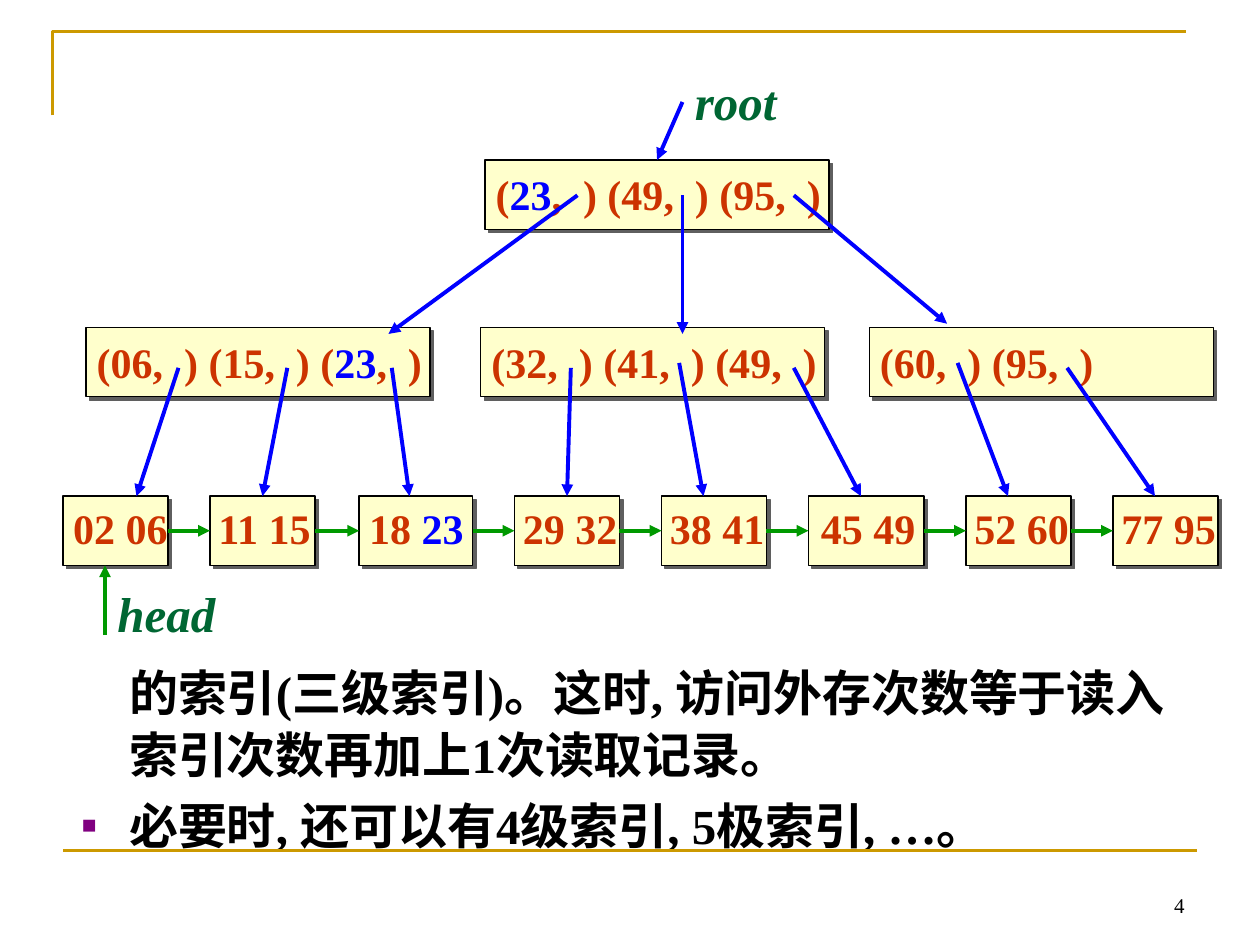
from itertools import pairwise
from lxml import etree
from pptx import Presentation
from pptx.dml.color import RGBColor
from pptx.enum.shapes import MSO_CONNECTOR, MSO_SHAPE
from pptx.enum.text import MSO_ANCHOR, MSO_AUTO_SIZE, PP_ALIGN
from pptx.oxml.ns import qn
from pptx.util import Pt

STRAIGHT = MSO_CONNECTOR.STRAIGHT
RECT = MSO_SHAPE.RECTANGLE
TOP, BOTTOM = MSO_ANCHOR.TOP, MSO_ANCHOR.BOTTOM
LEFT, RIGHT = PP_ALIGN.LEFT, PP_ALIGN.RIGHT
NO_FIT = MSO_AUTO_SIZE.NONE
SIDE_TOP, SIDE_LEFT, SIDE_RIGHT = 0, 1, 3

THEME = {
    "font": "Times New Roman",
    "key": "CC3300", "accent": "0000FF", "label": "006633", "text": "000000",
    "node": "FFFFCC", "shadow": "5F5F5F", "rule": "CC9900",
    "link": "0000FF", "chain": "009900", "bullet": "800080",
    "key_size": 24, "body_size": 28, "label_size": 28, "number_size": 12,
    "edge_width": 0.75, "rule_width": 1.5, "arrow_width": 2.25,
}

NODE_SIZE = (196.6, 39.6)
LEAF_TOP = 283.5
LEAF_HEIGHT = 39.6
NODES = [
    ("(|23|,  ) (49,  ) (95,  )", 277.2, 91.4),
    ("(06,  ) (15,  ) (|23|,  )", 49.2, 187.2),
    ("(32,  ) (41,  ) (49,  )", 274.8, 187.2),
    ("(60,  ) (95,  )", 496.8, 187.2),
]
LEAVES = [
    ("02 06", 36, 60, 5.8), ("11 15", 120, 60, 4.8), ("18 |23", 205.2, 64.8, 5.8),
    ("29 32", 294, 60, 4.8), ("38 41", 378, 60, 4.8), ("45 49", 462, 66, 7.2),
    ("52 60", 552, 60, 4.8), ("77 95", 636, 60, 4.8),
]
ROOT_LINKS = [
    ((330, 111.6), (222, 190.8)),
    ((390, 111.6), (390, 190.8)),
    ((453.6, 111.6), (541.2, 185)),
]
LEAF_LINKS = [
    ((102, 210.2), 78), ((164.2, 210.2), 150), ((223.9, 210.2), 234),
    ((326.2, 210.2), 324), ((388.1, 207.4), 402), ((453.6, 210.2), 492),
    ((547.2, 207.4), 576), ((609.8, 210.2), 660),
]
LABELS = [("root", 390, 37.4, 61.2), ("head", 60, 329.8, 70.6)]
BODY = [
    ("的索引(三级索引)。这时, 访问外存次数等于读入索引次数再加上1次读取记录。", 1.05, 0, False),
    ("必要时, 还可以有4级索引, 5极索引, …。", 1.1, 4, True),
]


def rgb(name):
    return RGBColor.from_string(THEME[name])


def add_effects(s, shadow=False):
    effects = etree.SubElement(s._element.spPr, qn("a:effectLst"))
    if shadow:
        shade = etree.SubElement(effects, qn("a:outerShdw"), dist=str(Pt(2.8)),
                                 dir="2700000", algn="ctr", rotWithShape="0")
        etree.SubElement(shade, qn("a:srgbClr"), val=THEME["shadow"])


def write(p, text, size="key_size", color="key", bold=True, italic=False, align=LEFT):
    p.alignment = align
    for i, part in enumerate(text.split("|")):
        if part:
            r = p.add_run()
            r.text = part
            r.font.name = THEME["font"]
            r.font.size = Pt(THEME[size])
            r.font.bold = bold
            r.font.italic = italic
            r.font.color.rgb = rgb("accent" if i % 2 else color)


def add_text(shapes, text, x, y, w, h, anchor=TOP, wrap=False, **fmt):
    tf = shapes.add_textbox(Pt(x), Pt(y), Pt(w), Pt(h)).text_frame
    tf.word_wrap = wrap
    tf.vertical_anchor = anchor
    write(tf.paragraphs[0], text, **fmt)


def add_box(shapes, text, x, y, w, h, inset_x, inset_y):
    s = shapes.add_shape(RECT, Pt(x), Pt(y), Pt(w), Pt(h))
    s.fill.solid()
    s.fill.fore_color.rgb = rgb("node")
    s.line.color.rgb = rgb("text")
    s.line.width = Pt(THEME["edge_width"])
    add_effects(s, shadow=True)
    tf = s.text_frame
    tf.word_wrap = False
    tf.vertical_anchor = TOP
    tf.margin_left, tf.margin_top = Pt(inset_x), Pt(inset_y)
    tf.margin_right = tf.margin_bottom = 0
    write(tf.paragraphs[0], text)
    return s


def add_line(shapes, start, end, color, width="arrow_width", arrow=True):
    c = shapes.add_connector(STRAIGHT, *(Pt(v) for v in (*start, *end)))
    c.line.color.rgb = rgb(color)
    c.line.width = Pt(THEME[width])
    if arrow:
        etree.SubElement(c.line._get_or_add_ln(), qn("a:tailEnd"), type="triangle")
    add_effects(c)
    return c


def add_frame(shapes):
    fb = shapes.build_freeform(Pt(30), Pt(66), scale=1.0)
    fb.add_line_segments([(Pt(30), Pt(18)), (Pt(678), Pt(18))], close=False)
    s = fb.convert_to_shape()
    s.fill.background()
    s.line.color.rgb = rgb("rule")
    s.line.width = Pt(THEME["rule_width"])
    s.shadow.inherit = False
    add_line(shapes, (36, 486), (684, 486), "rule", "rule_width", arrow=False)


def fill_body(s):
    s.left, s.top, s.width, s.height = Pt(39.6), Pt(365.8), Pt(639.4), Pt(167.8)
    tf = s.text_frame
    tf.auto_size = NO_FIT
    tf.word_wrap = True
    tf.margin_top = Pt(11)
    for i, (text, spacing, before, bullet) in enumerate(BODY):
        p = tf.add_paragraph() if i else tf.paragraphs[0]
        p.line_spacing = spacing
        p.space_before = Pt(before)
        pPr = p._p.get_or_add_pPr()
        pPr.set("marL", str(Pt(27)))
        pPr.set("indent", str(Pt(-27 if bullet else 0)))
        if bullet:
            tint = etree.SubElement(pPr, qn("a:buClr"))
            etree.SubElement(tint, qn("a:srgbClr"), val=THEME["bullet"])
            etree.SubElement(pPr, qn("a:buSzPct"), val="50000")
            etree.SubElement(pPr, qn("a:buChar"), char="■")
        else:
            etree.SubElement(pPr, qn("a:buNone"))
        write(p, text, size="body_size", color="text")


def add_tree(shapes):
    nodes = [add_box(shapes, text, x, y, *NODE_SIZE, 6, 5) for text, x, y in NODES]
    leaves = [add_box(shapes, text, x, LEAF_TOP, w, LEAF_HEIGHT, inset, 3.6)
              for text, x, w, inset in LEAVES]
    mid = LEAF_TOP + LEAF_HEIGHT / 2
    for (left, right), (a, b) in zip(pairwise(leaves), pairwise(LEAVES)):
        c = add_line(shapes, (a[1] + a[2], mid), (b[1], mid), "chain")
        c.begin_connect(left, SIDE_RIGHT)
        c.end_connect(right, SIDE_LEFT)
    for start, end in ROOT_LINKS:
        add_line(shapes, start, end, "link")
    for (start, end_x), leaf, (_, x, w, _) in zip(LEAF_LINKS, leaves, LEAVES):
        c = add_line(shapes, start, (end_x, LEAF_TOP), "link")
        if end_x == x + w / 2:
            c.end_connect(leaf, SIDE_TOP)
    add_line(shapes, (390, 58.3), (378, 91.4), "link").end_connect(nodes[0], SIDE_TOP)
    add_line(shapes, (60, 362.9), (60, LEAF_TOP + LEAF_HEIGHT), "chain")
    for text, x, y, w in LABELS:
        add_text(shapes, text, x, y, w, 41, size="label_size", color="label", italic=True)


def main():
    prs = Presentation()
    prs.slide_width, prs.slide_height = Pt(720), Pt(540)
    slide = prs.slides.add_slide(prs.slide_layouts[1])
    shapes = slide.shapes
    title = shapes.title._element
    title.getparent().remove(title)
    add_frame(shapes)
    add_text(shapes, "4", 516, 492, 168, 36, anchor=BOTTOM, wrap=True,
             size="number_size", color="text", bold=False, align=RIGHT)
    fill_body(slide.placeholders[1])
    add_tree(shapes)
    prs.save("out.pptx")


if __name__ == "__main__":
    main()
